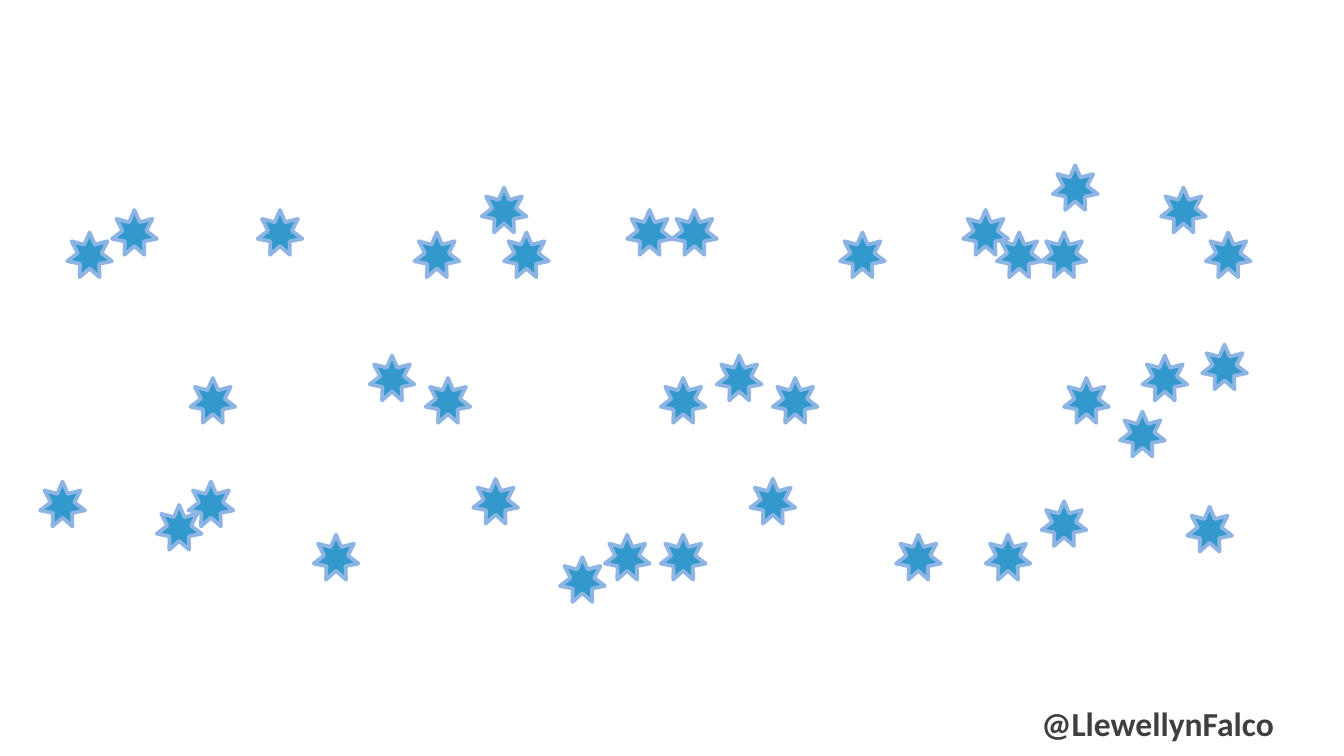
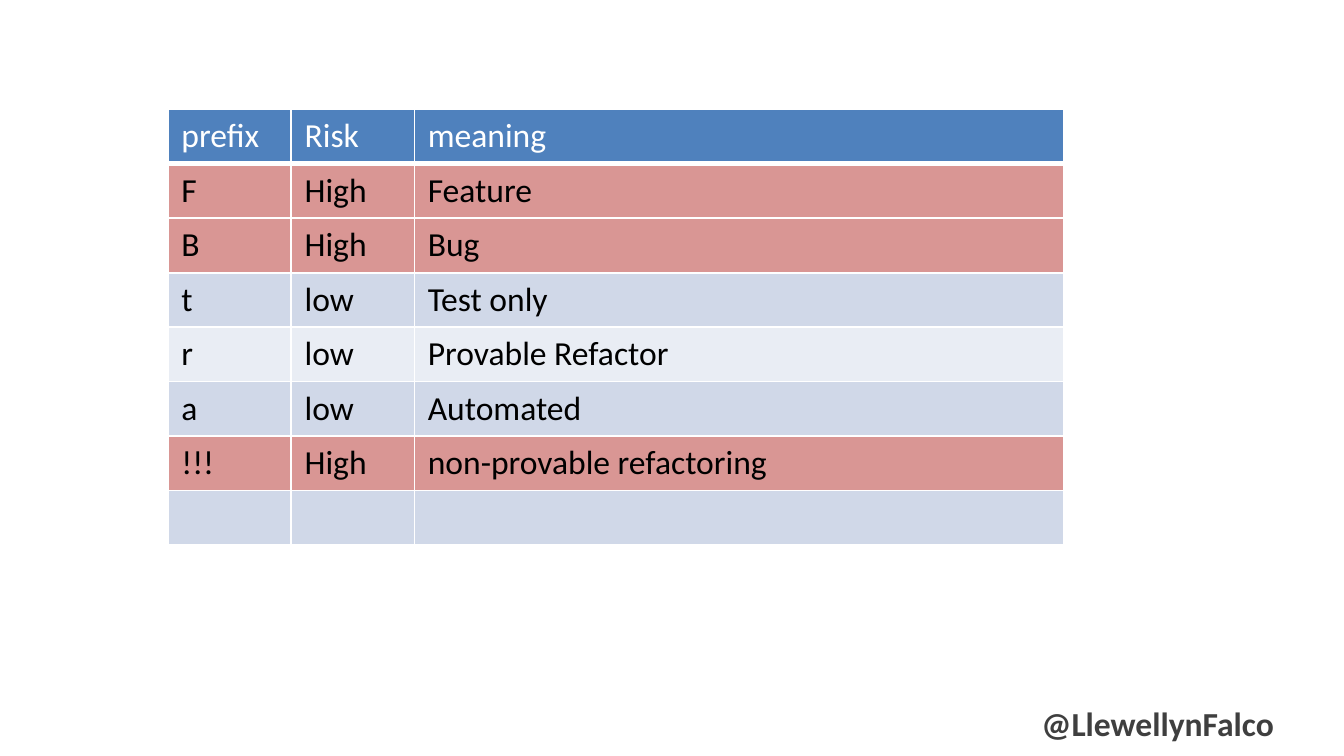
from dataclasses import dataclass

import lxml.etree
import pptx
import pptx.dml.color
import pptx.enum.shapes
import pptx.enum.text
import pptx.oxml.ns
import pptx.slide
import pptx.table
import pptx.text.text
import pptx.util

Pt = pptx.util.Pt
FONT = "Calibri"
SIZE = 18
WHITE, BLACK, GREY = "FFFFFF", "000000", "3F3F3F"
BLUE, EDGE = "3399CC", "8EB4E3"
HEAD, RED, DARK, LIGHT = "4F81BD", "D99694", "D0D8E8", "E9EDF4"


@dataclass
class Star:
    x: float
    y: float


@dataclass
class Row:
    cells: tuple[str, str, str]
    fill: str
    ink: str = BLACK
    base: float = 1  # width of the bottom border


# Star corners, back to front
STARS = [Star(x, y) for x, y in (
    # top band
    (60, 112.5), (36, 124.5), (138, 112.5), (222, 124.5), (258, 100.5),
    (270, 124.5), (336, 112.5), (360, 112.5), (450, 124.5), (516, 112.5),
    (534, 124.5), (558, 124.5), (564, 88.5), (622, 100.5), (646, 124.5),
    # middle and lower bands, right to left
    (644, 184.5), (636, 271.5), (612, 190.5), (600, 220.5), (570, 202.5),
    (558, 268.5), (528, 286.5), (480, 286.5), (402, 256.5), (414, 202.5),
    (384, 190.5), (354, 202.5), (354, 286.5), (324, 286.5), (300, 298.5),
    (253.5, 256.5), (228, 202.5), (198, 190.5), (102, 202.5), (21.5, 258),
    (168, 286.5), (101, 258), (84, 270.5),
)]
SIDE = 24

ROWS = [
    Row(("prefix", "Risk", "meaning"), HEAD, WHITE, 3),
    Row(("F", "High", "Feature"), RED),
    Row(("B", "High", "Bug"), RED),
    Row(("t", "low", "Test only"), DARK),
    Row(("r", "low", "Provable Refactor"), LIGHT),
    Row(("a", "low", "Automated"), DARK),
    Row(("!!!", "High", "non-provable refactoring"), RED),
    Row(("", "", ""), DARK),
]
COLS = (66, 66, 348)
TALL = 29.2


def paint(form, tint: str) -> None:
    """Give a fill one solid colour."""
    form.solid()
    form.fore_color.rgb = pptx.dml.color.RGBColor.from_string(tint)


def write(frame: pptx.text.text.TextFrame, text: str, ink: str,
          bold: bool = False) -> None:
    frame.text = text
    font = frame.paragraphs[0].font
    font.name, font.size, font.bold = FONT, Pt(SIZE), bold
    paint(font.fill, ink)


def sign(slide: pptx.slide.Slide) -> None:
    """Put the shared footer on a slide."""
    box = slide.shapes.add_textbox(Pt(548.7), Pt(373), Pt(141), Pt(29))
    frame = box.text_frame
    write(frame, "@LlewellynFalco", GREY, True)
    frame.word_wrap = False
    frame.auto_size = pptx.enum.text.MSO_AUTO_SIZE.SHAPE_TO_FIT_TEXT
    frame.paragraphs[0].alignment = pptx.enum.text.PP_ALIGN.RIGHT


def draw(slide: pptx.slide.Slide, star: Star) -> None:
    kind = pptx.enum.shapes.MSO_SHAPE.STAR_7_POINT
    shape = slide.shapes.add_shape(
        kind, Pt(star.x), Pt(star.y), Pt(SIDE), Pt(SIDE))
    shape.adjustments[0] = 0.266
    shape.shadow.inherit = False
    paint(shape.fill, BLUE)
    paint(shape.line.fill, EDGE)
    shape.line.width = Pt(2)


def edge(cell: pptx.table._Cell, base: float) -> None:
    """Add white borders, with a bottom one of the given width."""
    qn = pptx.oxml.ns.qn
    props = cell._tc.get_or_add_tcPr()
    for name, width in (("L", 1), ("R", 1), ("T", 1), ("B", base)):
        line = lxml.etree.SubElement(
            props, qn(f"a:ln{name}"), w=str(Pt(width)))
        fill = lxml.etree.SubElement(line, qn("a:solidFill"))
        lxml.etree.SubElement(fill, qn("a:srgbClr"), val=WHITE)


def chart(slide: pptx.slide.Slide, rows: list[Row]) -> None:
    """Draw the table of prefixes."""
    table = slide.shapes.add_table(
        len(rows), len(COLS), Pt(90), Pt(58.5),
        Pt(sum(COLS)), Pt(TALL * len(rows))).table
    table.horz_banding = False
    for col, width in zip(table.columns, COLS):
        col.width = Pt(width)
    for line, row in zip(table.rows, rows):
        line.height = Pt(TALL)
        for cell, text in zip(line.cells, row.cells):
            edge(cell, row.base)
            paint(cell.fill, row.fill)
            write(cell.text_frame, text, row.ink)


def main() -> None:
    deck = pptx.Presentation()
    deck.slide_width, deck.slide_height = Pt(720), Pt(405)
    blank = deck.slide_layouts[6]

    # Scattered stars
    slide = deck.slides.add_slide(blank)
    sign(slide)
    for star in STARS:
        draw(slide, star)

    # Prefixes and their risk
    slide = deck.slides.add_slide(blank)
    sign(slide)
    chart(slide, ROWS)

    deck.save("out.pptx")


if __name__ == "__main__":
    main()
